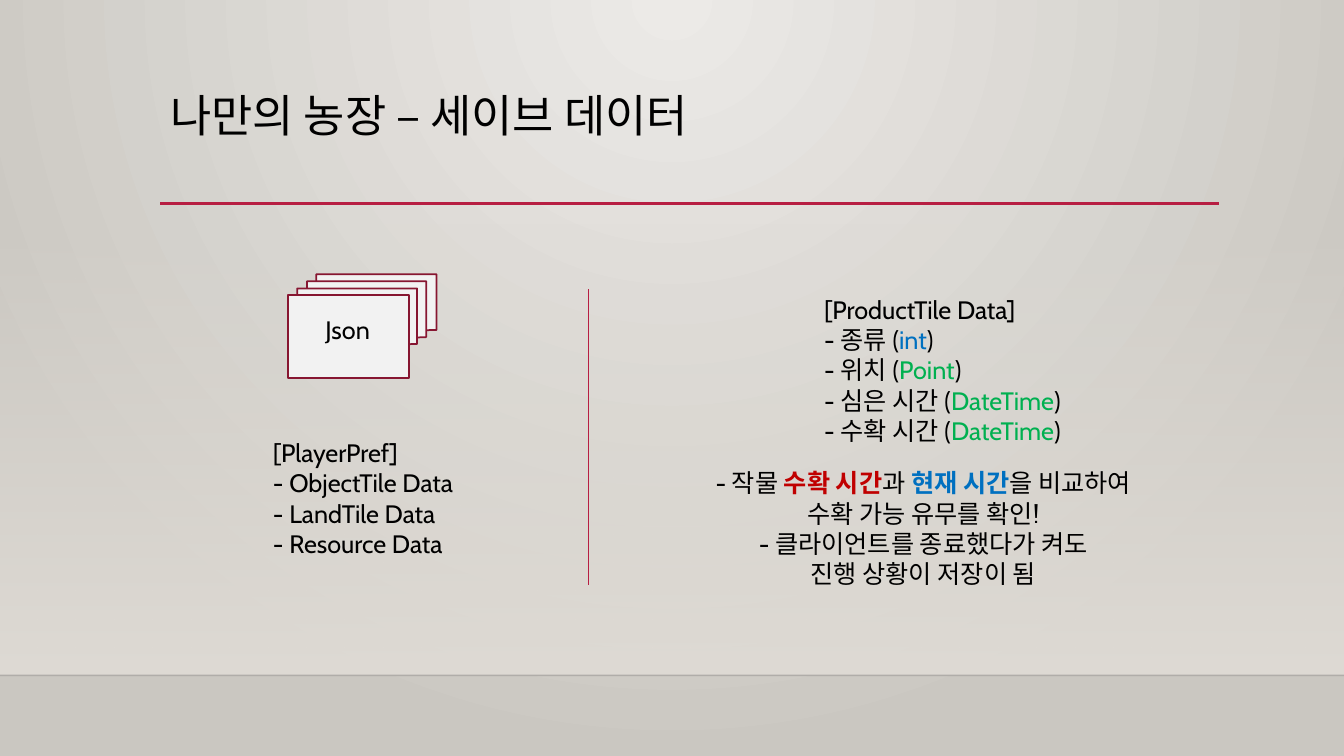
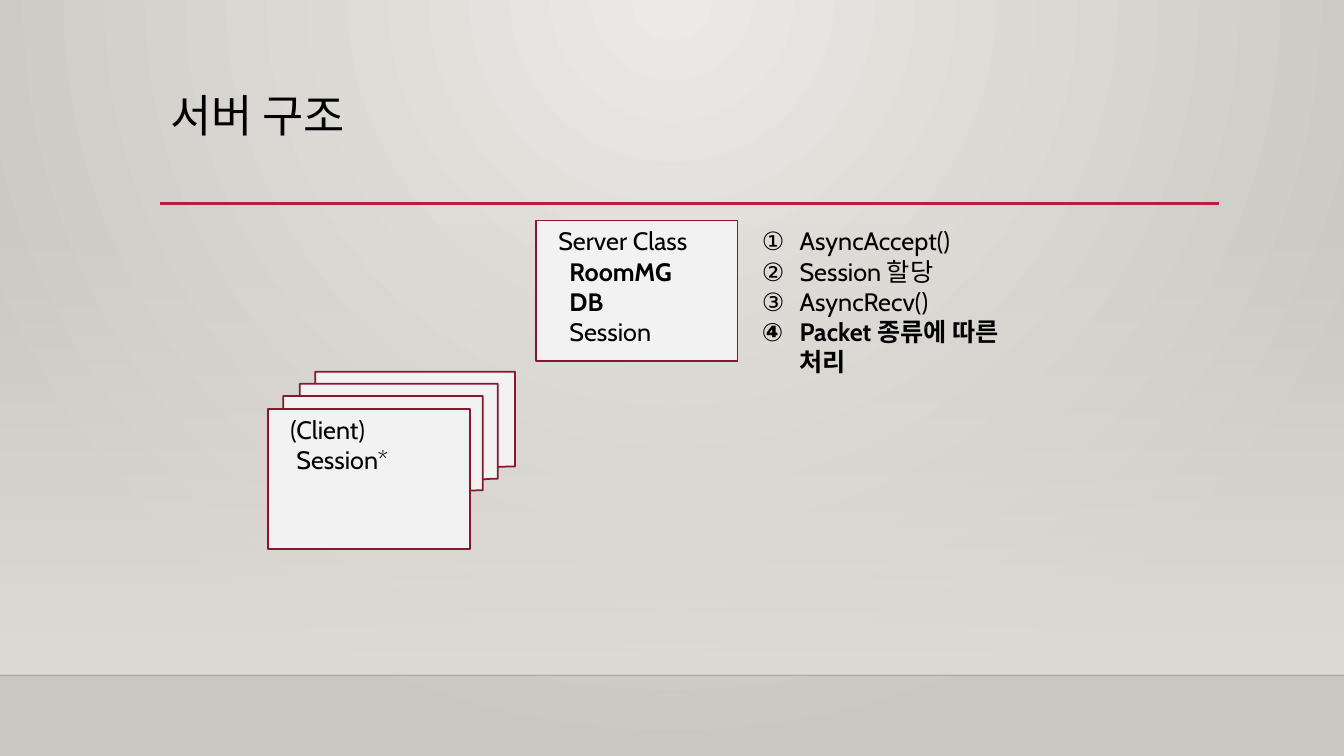
from dataclasses import dataclass

from pptx import Presentation
from pptx.dml.color import RGBColor
from pptx.enum.shapes import MSO_CONNECTOR, MSO_SHAPE
from pptx.enum.text import MSO_ANCHOR, PP_ALIGN
from pptx.oxml import parse_xml
from pptx.oxml.ns import nsdecls, qn
from pptx.oxml.xmlchemy import OxmlElement
from pptx.util import Cm, Pt


@dataclass(frozen=True)
class Theme:
    font: str = "Cabin"
    head: int = 32
    body: int = 18
    ink: str = "000000"
    red: str = "C00000"
    blue: str = "0070C0"
    green: str = "00B050"
    accent: str = "B71E42"
    edge: str = "871631"
    paper: str = "F2F2F2"
    light: str = "ECEAE7"
    dark: str = "CAC7C1"
    floor: str = "DFDBD5"


THEME = Theme()
WIDE, HIGH, BASE = 33.87, 19.05, 17.02
LEFT, SPAN = 4.04, 26.67
GLOW = '<a:path path="circle"><a:fillToRect l="43000" r="43000" b="100000"/></a:path>'
DOWN = '<a:lin ang="5400000" scaled="0"/>'


def rgb(color):
    return RGBColor.from_string(color)


def shade(holder, stops, way):
    marks = "".join(
        f'<a:gs pos="{pos}"><a:srgbClr val="{color}"><a:alpha val="{alpha}"/></a:srgbClr></a:gs>'
        for pos, color, alpha in stops
    )
    grad = parse_xml(f'<a:gradFill {nsdecls("a")}><a:gsLst>{marks}</a:gsLst>{way}</a:gradFill>')
    holder.replace(holder.find(qn("a:solidFill")), grad)


def add_run(para, text, size=THEME.body, color=THEME.ink, bold=False):
    run = para.add_run()
    run.text = text
    font = run.font
    font.name, font.size, font.bold = THEME.font, Pt(size), bold
    font.color.rgb = rgb(color)


def indent(para, left, first=0, number=None):
    props = para._p.get_or_add_pPr()
    props.set("marL", str(Cm(left)))
    props.set("indent", str(Cm(first)))
    if number:
        mark = OxmlElement("a:buAutoNum")
        mark.set("type", number)
        props.append(mark)


def write(frame, lines, align=PP_ALIGN.LEFT, space=None, **style):
    frame.word_wrap = True
    frame.vertical_anchor = MSO_ANCHOR.TOP
    for place, line in enumerate(lines):
        para = frame.paragraphs[0] if place == 0 else frame.add_paragraph()
        para.alignment = align
        para.line_spacing = space
        for part in [line] if isinstance(line, str) else line:
            text, extra = (part, {}) if isinstance(part, str) else part
            add_run(para, text, **{**style, **extra})
    return frame.paragraphs


def add_text(slide, left, top, width, height, lines, **style):
    box = slide.shapes.add_textbox(Cm(left), Cm(top), Cm(width), Cm(height))
    return write(box.text_frame, lines, **style)


def add_line(slide, x1, y1, x2, y2, color, width, alpha=None):
    line = slide.shapes.add_connector(MSO_CONNECTOR.STRAIGHT, Cm(x1), Cm(y1), Cm(x2), Cm(y2))
    line.line.color.rgb = rgb(color)
    line.line.width = Pt(width)
    props = line._element.spPr
    if alpha:
        clear = OxmlElement("a:alpha")
        clear.set("val", str(alpha * 1000))
        props.find(".//" + qn("a:srgbClr")).append(clear)
    props.append(OxmlElement("a:effectLst"))


def add_block(slide, kind, left, top, width, height, fill, edge=None):
    block = slide.shapes.add_shape(kind, Cm(left), Cm(top), Cm(width), Cm(height))
    block.shadow.inherit = False
    block.fill.solid()
    block.fill.fore_color.rgb = rgb(fill)
    if edge:
        block.line.color.rgb = rgb(edge)
        block.line.width = Pt(1.25)
    else:
        block.line.fill.background()
    return block


def add_stack(slide, left, top, width, height):
    add_block(slide, MSO_SHAPE.FLOWCHART_MULTIDOCUMENT, left, top, width, height,
              THEME.paper, THEME.edge)


def add_card(slide, left, top, width, height, lines, inset=(0.56, 0.13)):
    card = add_block(slide, MSO_SHAPE.RECTANGLE, left, top, width, height,
                     THEME.paper, THEME.edge)
    frame = card.text_frame
    frame.margin_left, frame.margin_top = Cm(inset[0]), Cm(inset[1])
    frame.margin_right = 0
    return write(frame, lines)


def set_ground(deck):
    master = deck.slide_master
    fill = master.background.fill
    fill.solid()
    fill.fore_color.rgb = rgb(THEME.light)
    holder = master.element.find(".//" + qn("p:bgPr"))
    shade(holder, [(0, THEME.light, 100000), (100000, THEME.dark, 100000)], GLOW)


def add_slide(deck, title):
    slide = deck.slides.add_slide(deck.slide_layouts[6])
    wall = add_block(slide, MSO_SHAPE.RECTANGLE, 0, 5.61, WIDE, BASE - 5.61, THEME.floor)
    shade(wall._element.spPr, [(0, THEME.floor, 0), (100000, THEME.floor, 100000)], DOWN)
    add_line(slide, 0, BASE, WIDE, BASE, "000001", 1, alpha=20)
    add_line(slide, LEFT, 5.13, LEFT + SPAN, 5.13, THEME.accent, 2.5)
    add_text(slide, LEFT, 2.24, SPAN, 2.92, [title], space=0.9, size=THEME.head)
    return slide


def add_save(deck):
    slide = add_slide(deck, "나만의 농장 – 세이브 데이터")
    add_text(slide, 6.63, 10.9, 6, 3.33, [
        "[PlayerPref]", "- ObjectTile Data", "- LandTile Data", "- Resource Data"])
    fields = [("종류", "int", THEME.blue), ("위치", "Point", THEME.green),
              ("심은 시간", "DateTime", THEME.green), ("수확 시간", "DateTime", THEME.green)]
    add_text(slide, 20.52, 7.29, 8, 4.11, ["[ProductTile Data]"] + [
        [f"- {name} (", (kind, {"color": color}), ")"] for name, kind, color in fields])
    add_text(slide, 17.25, 11.66, 12.04, 3.33, [
        ["- 작물 ", ("수확 시간", {"color": THEME.red, "bold": True}), "과 ",
         ("현재 시간", {"color": THEME.blue, "bold": True}), "을 비교하여"],
        "수확 가능 유무를 확인!",
        "- 클라이언트를 종료했다가 켜도",
        "진행 상황이 저장이 됨",
    ], align=PP_ALIGN.CENTER)
    add_line(slide, 14.83, 7.29, 14.83, 14.73, THEME.accent, 0.75)
    add_stack(slide, 7.49, 6.91, 3.51, 2.11)
    add_card(slide, 7.26, 7.44, 3.05, 2.08, ["Json"], inset=(0.94, 0.48))


def add_server(deck):
    slide = add_slide(deck, "서버 구조")
    strong = {"bold": True}
    add_stack(slide, 7.14, 9.37, 5.84, 3.58)
    server = add_card(slide, 13.51, 5.56, 5.08, 3.53, [
        "Server Class", [("RoomMG", strong)], [("DB", strong)], "Session"])
    for para in server[1:]:
        indent(para, 0.28)
    client = add_card(slide, 6.76, 10.31, 5.08, 3.53, ["(Client)", "Session*"])
    indent(client[1], 0.15)
    steps = add_text(slide, 18.95, 5.56, 7.62, 4.11, [
        "AsyncAccept()", "Session 할당", "AsyncRecv()",
        [("Packet 종류에 따른 처리", strong)]])
    for para in steps:
        indent(para, 0.95, -0.95, "circleNumDbPlain")


def main():
    deck = Presentation()
    deck.slide_width, deck.slide_height = Cm(WIDE), Cm(HIGH)
    set_ground(deck)
    add_save(deck)
    add_server(deck)
    deck.save("out.pptx")


if __name__ == "__main__":
    main()
